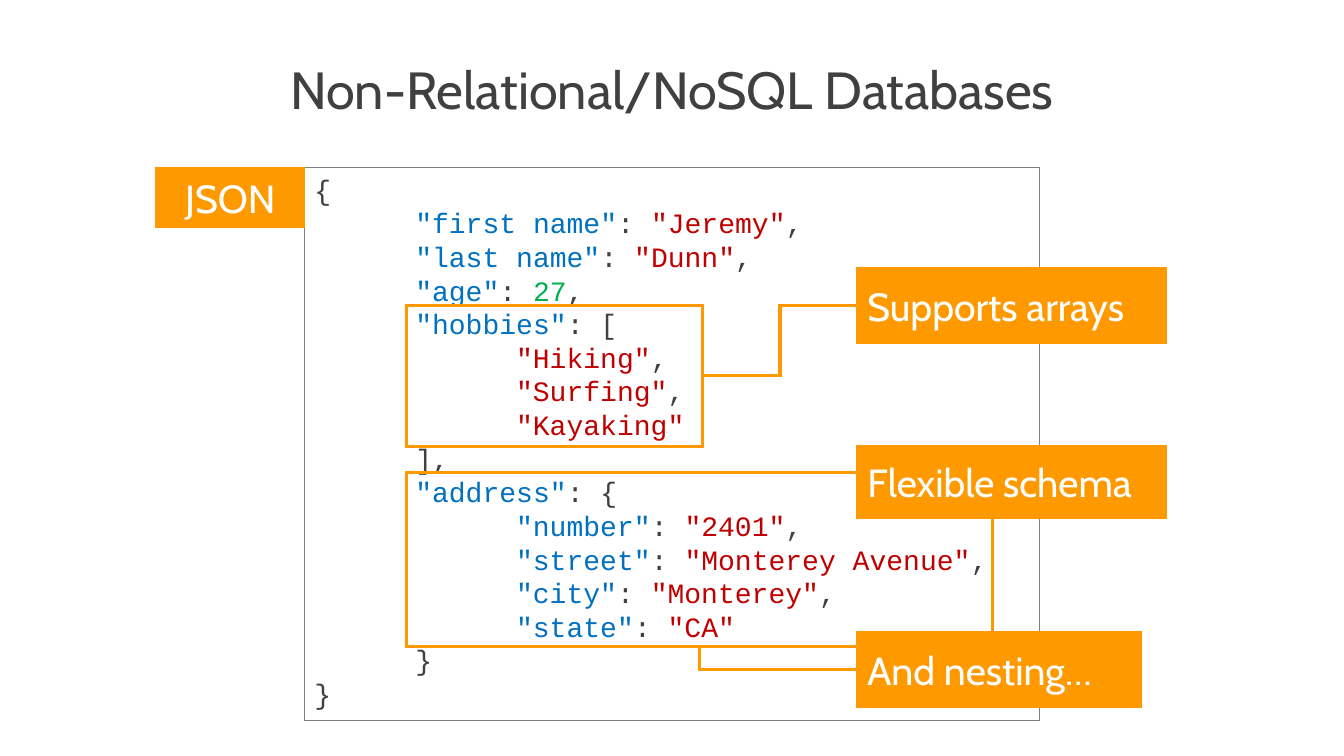
import pptx
import pptx.util
import pptx.dml.color
import pptx.enum.shapes
import pptx.enum.text
import pptx.oxml.ns
import lxml.etree

Pt = pptx.util.Pt
RGBColor = pptx.dml.color.RGBColor
ALIGN = pptx.enum.text.PP_ALIGN
ANCHOR = pptx.enum.text.MSO_ANCHOR
RECT = pptx.enum.shapes.MSO_SHAPE.RECTANGLE
ELBOW = pptx.enum.shapes.MSO_CONNECTOR.ELBOW

ORANGE = RGBColor(0xFF, 0x99, 0x00)
DARK = RGBColor(0x40, 0x40, 0x40)
GREY = RGBColor(0x80, 0x80, 0x80)
BLUE = RGBColor(0x00, 0x70, 0xC0)
RED = RGBColor(0xC0, 0x00, 0x00)
GREEN = RGBColor(0x00, 0xB0, 0x50)
WHITE = RGBColor(0xFF, 0xFF, 0xFF)

# Depth, key, separator, value, tail
CODE = [
    (0, '', '', '', '{'),
    (1, '"first name"', ': ', '"Jeremy"', ','),
    (1, '"last name"', ': ', '"Dunn"', ','),
    (1, '"age"', ': ', '27', ','),
    (1, '"hobbies"', ': [', '', ''),
    (2, '', '', '"Hiking"', ','),
    (2, '', '', '"Surfing"', ','),
    (2, '', '', '"Kayaking"', ''),
    (1, '', '', '', '],'),
    (1, '"address"', ': {', '', ''),
    (2, '"number"', ': ', '"2401"', ','),
    (2, '"street"', ': ', '"Monterey Avenue"', ','),
    (2, '"city"', ': ', '"Monterey"', ','),
    (2, '"state"', ': ', '"CA"', ''),
    (1, '', '', '', '}'),
    (0, '', '', '', '}'),
]


def part(box, x, y, w, h):
    """Return the area given in percent of a box."""
    left, top, wide, high = box
    return (int(left + wide * x / 100), int(top + high * y / 100),
            int(wide * w / 100), int(high * h / 100))


def add_child(parent, tag, **attrs):
    return lxml.etree.SubElement(parent, pptx.oxml.ns.qn(tag), attrs)


def style(para, font, size, color=None):
    para.font.name = font
    para.font.size = Pt(size)
    if color is not None:
        para.font.color.rgb = color


def set_line(shape, color, width):
    """Draw a plain line with sharp corners."""
    shape.line.color.rgb = color
    shape.line.width = Pt(width)
    line = shape._element.spPr.find(pptx.oxml.ns.qn("a:ln"))
    add_child(line, "a:miter", lim="800000")


def add_rect(slide, area, line, width, fill=None):
    rect = slide.shapes.add_shape(RECT, *area)
    rect.shadow.inherit = False
    set_line(rect, line, width)
    if fill is None:
        rect.fill.background()
    else:
        rect.fill.solid()
        rect.fill.fore_color.rgb = fill
    return rect


def add_label(slide, area, text, align=ALIGN.LEFT, width=2.25):
    label = add_rect(slide, area, ORANGE, width, ORANGE)
    frame = label.text_frame
    frame.word_wrap = True
    frame.vertical_anchor = ANCHOR.MIDDLE
    para = frame.paragraphs[0]
    para.text = text
    para.alignment = align
    style(para, "Cabin", 28, WHITE)
    return label


def add_elbow(slide, label, frame, side, preset):
    """Join the left side of a label to one side of a frame."""
    line = slide.shapes.add_connector(ELBOW, 0, 0, 0, 0)
    line.begin_connect(label, 1)
    line.end_connect(frame, side)
    set_line(line, ORANGE, 2.25)
    props = line._element.spPr
    props.find(pptx.oxml.ns.qn("a:prstGeom")).set("prst", preset)
    add_child(props, "a:effectLst")


def add_title(slide, box):
    title = slide.shapes.title
    title.left, title.top, title.width, title.height = box
    frame = title.text_frame
    frame.word_wrap = True
    frame.vertical_anchor = ANCHOR.MIDDLE
    para = frame.paragraphs[0]
    para.text = "Non-Relational/NoSQL Databases"
    para.alignment = ALIGN.CENTER
    para.line_spacing = 0.9
    style(para, "Cabin", 37.3, DARK)


def add_code(slide, box):
    frame = add_rect(slide, box, GREY, 0.75).text_frame
    frame.word_wrap = True
    frame.vertical_anchor = ANCHOR.TOP
    for row, (depth, key, sep, value, tail) in enumerate(CODE):
        para = frame.add_paragraph() if row else frame.paragraphs[0]
        para.alignment = ALIGN.LEFT
        para.line_spacing = Pt(24)
        if depth:
            tabs = add_child(para._p.get_or_add_pPr(), "a:tabLst")
            for stop in range(1, depth + 1):
                add_child(tabs, "a:tab", pos=str(pptx.util.Inches(stop)),
                          algn="l")
        style(para, "Courier New", 20)
        tone = GREEN if value.isdigit() else RED
        bits = [("\t" * depth, DARK), (key, BLUE), (sep, DARK),
                (value, tone), (tail, DARK)]
        for text, color in bits:
            if text:
                run = para.add_run()
                run.text = text
                run.font.color.rgb = color


def add_notes(slide, box):
    """Mark up the code in the box with its tag, frames and callouts."""
    add_label(slide, part(box, -20.2, 0, 20.2, 10.85), "JSON",
              ALIGN.CENTER, 1)
    hobby = add_rect(slide, part(box, 13.85, 24.95, 40.33, 25.5),
                     ORANGE, 2.25)
    home = add_rect(slide, part(box, 13.85, 55.19, 79.8, 31.33),
                    ORANGE, 2.25)
    calls = [("Supports arrays", 18.3, 41.84, 13.35),
             ("Flexible schema", 50.5, 41.84, 12.75),
             ("And nesting…", 84.05, 38.55, 13.35)]
    array, _, nest = [add_label(slide, part(box, 75.22, y, w, h), text)
                      for text, y, w, h in calls]
    add_elbow(slide, array, hobby, 3, "bentConnector3")
    add_elbow(slide, nest, home, 2, "bentConnector2")


def main():
    deck = pptx.Presentation()
    deck.slide_width = pptx.util.Inches(13.33)
    deck.slide_height = pptx.util.Inches(7.5)
    slide = deck.slides.add_slide(deck.slide_layouts[5])
    page = (0, 0, deck.slide_width, deck.slide_height)
    panel = part(page, 22.66, 22.13, 54.69, 73.2)
    add_title(slide, part(page, 6.87, 8.27, 86.27, 7.87))
    add_code(slide, panel)
    add_notes(slide, panel)
    deck.save("out.pptx")


if __name__ == "__main__":
    main()
